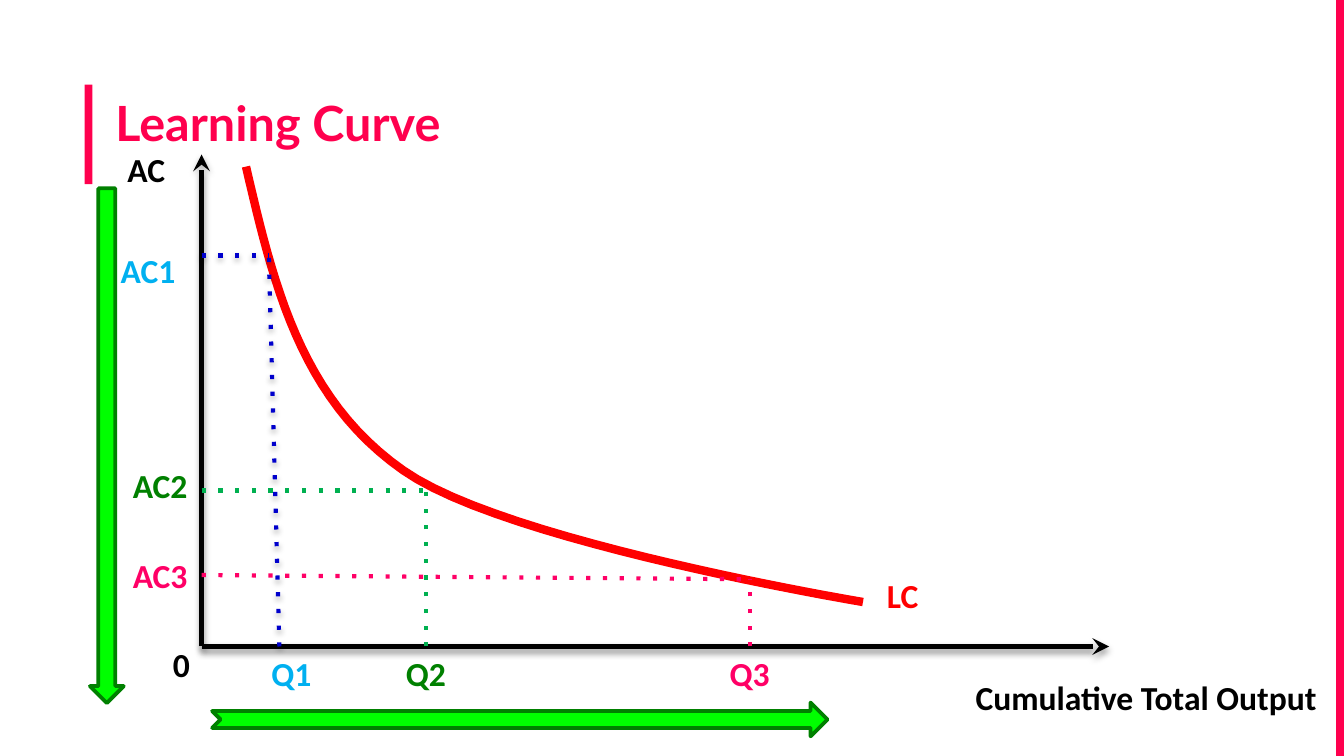
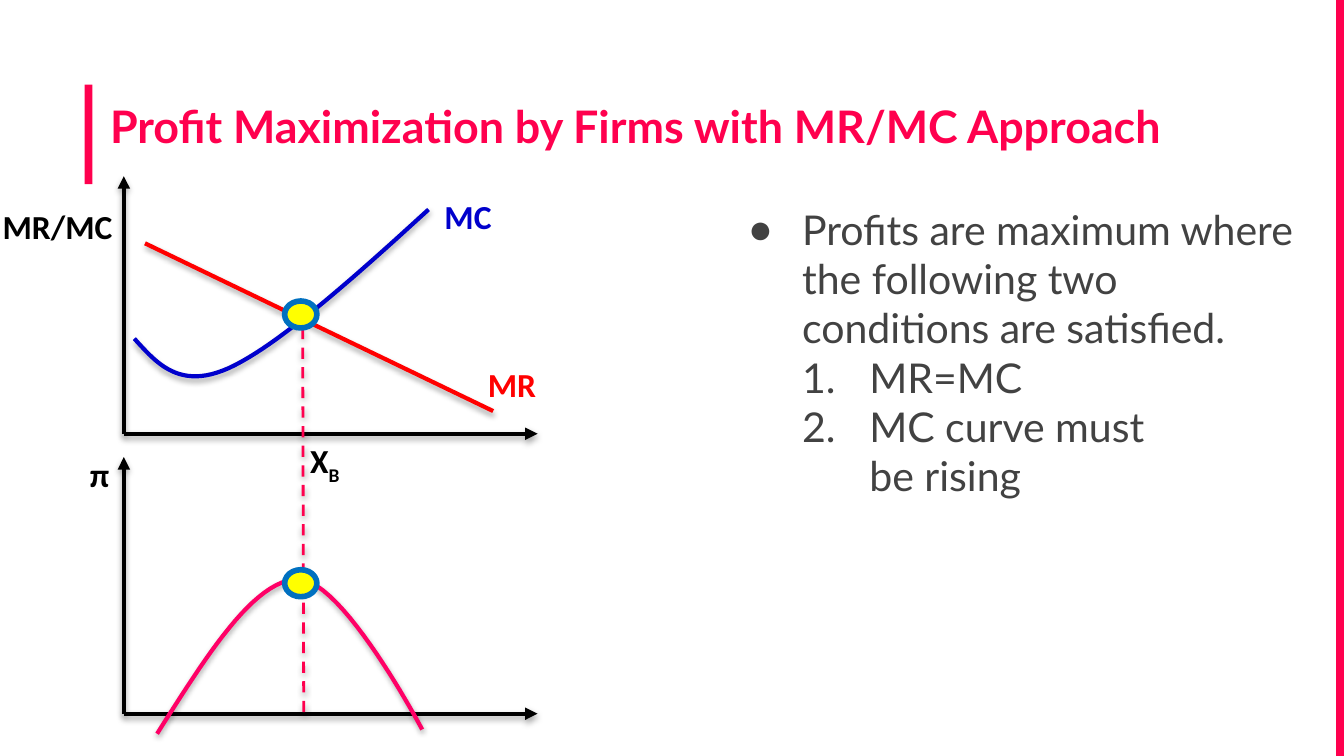
from lxml.etree import SubElement
from pptx import Presentation
from pptx.dml.color import RGBColor
from pptx.enum.shapes import MSO_CONNECTOR, MSO_SHAPE as Preset
from pptx.enum.text import MSO_ANCHOR as Anchor, MSO_AUTO_SIZE as AutoSize, PP_ALIGN as Align
from pptx.oxml.ns import qn
from pptx.util import Cm, Pt

BLACK = RGBColor(0x00, 0x00, 0x00)
CRIMSON = RGBColor(0xFF, 0x00, 0x4E)
PINK = RGBColor(0xFF, 0x00, 0x66)
RED = RGBColor(0xFF, 0x00, 0x00)
BLUE = RGBColor(0x00, 0x00, 0xCC)
SKY = RGBColor(0x00, 0xB0, 0xF0)
OCEAN = RGBColor(0x00, 0x70, 0xC0)
GREEN = RGBColor(0x00, 0x80, 0x00)
EMERALD = RGBColor(0x00, 0xB0, 0x50)
LIME = RGBColor(0x00, 0xFF, 0x00)
YELLOW = RGBColor(0xFF, 0xFF, 0x00)
GREY = RGBColor(0x42, 0x42, 0x42)

HEADING_FONT = "Lato"
LABEL_FONT = "Calibri"
CURVE_STEPS = 24


def draw_stroke(page, points, color, width, dash=None, arrow=None, shadow=True):
    """Join two points with a connector, or draw cubic Béziers through 3n + 1 control points."""
    if len(points) == 2:
        ends = [Cm(value) for point in points for value in point]
        stroke = page.shapes.add_connector(MSO_CONNECTOR.STRAIGHT, *ends)
    else:
        samples = []
        for first in range(0, len(points) - 1, 3):
            control = points[first:first + 4]
            for step in range(1, CURVE_STEPS + 1):
                t = step / CURVE_STEPS
                weights = ((1 - t) ** 3, 3 * t * (1 - t) ** 2, 3 * t ** 2 * (1 - t), t ** 3)
                samples.append([Cm(sum(w * point[axis] for w, point in zip(weights, control)))
                                for axis in (0, 1)])
        builder = page.shapes.build_freeform(Cm(points[0][0]), Cm(points[0][1]))
        builder.add_line_segments(samples, close=False)
        stroke = builder.convert_to_shape()
        stroke.fill.background()
    stroke.line.color.rgb = color
    stroke.line.width = Pt(width)

    properties = stroke.element.spPr
    line = properties.find(qn("a:ln"))
    if dash:
        SubElement(line, qn("a:prstDash"), val=dash)
    if arrow:
        SubElement(line, qn("a:tailEnd"), type=arrow)
    effects = SubElement(properties, qn("a:effectLst"))
    if shadow:
        outer = SubElement(effects, qn("a:outerShdw"), blurRad="40000", dist="23000",
                           dir="5400000", rotWithShape="0")
        shade = SubElement(outer, qn("a:srgbClr"), val="000000")
        SubElement(shade, qn("a:alpha"), val="35000")


def add_label(page, text, left, top, width, color):
    box = page.shapes.add_textbox(Cm(left), Cm(top), Cm(width), Cm(1.02))
    box.text_frame.word_wrap = False
    box.text_frame.auto_size = AutoSize.SHAPE_TO_FIT_TEXT
    para = box.text_frame.paragraphs[0]
    para.add_run().text = text
    para.font.name = LABEL_FONT
    para.font.size = Pt(18)
    para.font.bold = True
    para.font.color.rgb = color
    return box


deck = Presentation()
deck.slide_width = Cm(25.4)
deck.slide_height = Cm(14.29)
learning_page = deck.slides.add_slide(deck.slide_layouts[5])
profit_page = deck.slides.add_slide(deck.slide_layouts[1])

# Bands shared through the slide master
master_tree = deck.slide_master.shapes.element
for number, area in enumerate([(1.6, 1.6, 0.15, 1.88), (25.25, 0, 0.15, 14.29)]):
    band = learning_page.shapes.add_shape(Preset.RECTANGLE, *map(Cm, area))
    band.shadow.inherit = False
    band.fill.solid()
    band.fill.fore_color.rgb = CRIMSON
    band.line.fill.background()
    band.element.xpath(".//p:cNvPr")[0].set("id", str(20 + number))
    master_tree.insert(2 + number, band.element)

# Titles
for page, text, area, size, anchor, inset in [
    (learning_page, "Learning Curve", (1.93, 1.5, 23.06, 1.83), 26, Anchor.TOP, 0.25),
    (profit_page, "Profit Maximization by Firms with MR/MC Approach",
     (1.83, 1.17, 23.04, 2.39), 24, Anchor.MIDDLE, 0.13),
]:
    title = page.shapes.title
    title.left, title.top, title.width, title.height = map(Cm, area)
    frame = title.text_frame
    frame.text = text
    frame.auto_size = AutoSize.NONE
    frame.vertical_anchor = anchor
    frame.margin_left = frame.margin_right = Cm(0.25)
    frame.margin_top = frame.margin_bottom = Cm(inset)
    para = frame.paragraphs[0]
    para.alignment = Align.LEFT
    para.font.name = HEADING_FONT
    para.font.size = Pt(size)
    para.font.bold = True
    para.font.color.rgb = CRIMSON

# Learning curve: axes, curve, guides and labels
axis_x, axis_y = 3.81, 12.22
for tip in [(axis_x, 2.92), (20.96, axis_y)]:
    draw_stroke(learning_page, [(axis_x, axis_y), tip], BLACK, 3, arrow="stealth")
learning_curve = [(4.65, 3.15), (5.16, 5.33), (5.66, 7.52), (7.62, 8.89),
                  (9.55, 10.26), (16.31, 11.38), (16.31, 11.38)]
draw_stroke(learning_page, learning_curve, RED, 4.5, shadow=False)

for color, start_y, knee, foot_x, shadow in [
    (BLUE, 4.83, (5.08, 4.83), 5.28, True),
    (EMERALD, 9.27, (8.05, 9.27), 8.05, False),
    (PINK, 10.87, (14.17, 10.95), 14.17, False),
]:
    for start in [(axis_x, start_y), (foot_x, axis_y)]:
        draw_stroke(learning_page, [start, knee], color, 2.25, dash="dot", shadow=shadow)

for number, color, cost_left, cost_top, output_left in [
    (1, SKY, 2.03, 4.6, 4.88),
    (2, GREEN, 2.26, 8.66, 7.42),
    (3, PINK, 2.26, 10.36, 13.54),
]:
    add_label(learning_page, f"AC{number}", cost_left, cost_top, 1.55, color)
    add_label(learning_page, f"Q{number}", output_left, axis_y, 1.27, color)
add_label(learning_page, "LC", 16.51, 10.74, 1.12, RED)
add_label(learning_page, "AC", 2.16, 2.69, 1.55, BLACK)
add_label(learning_page, "0", 3.02, 12.04, 0.84, BLACK)
add_label(learning_page, "Cumulative Total Output", 18.19, 12.67, 7.01, BLACK)

# Profit maximization: two stacked graphs
left_x, right_x = 2.34, 10.16
for base_y, top_y in [(8.2, 3.33), (13.49, 8.64)]:
    for tip in [(left_x, top_y), (right_x, base_y)]:
        draw_stroke(profit_page, [(left_x, base_y), tip], BLACK, 2.25, arrow="triangle")
marginal_cost = [(2.54, 6.4), (2.97, 6.88), (3.4, 7.37), (4.32, 6.96),
                 (5.23, 6.55), (6.68, 5.26), (8.1, 3.96)]
profit_curve = [(2.97, 13.87), (3.89, 12.42), (4.8, 10.95), (5.64, 10.95),
                (6.48, 10.95), (7.98, 13.79), (7.98, 13.79)]
draw_stroke(profit_page, [(2.74, 4.6), (9.32, 7.77)], RED, 2.25)
draw_stroke(profit_page, marginal_cost, BLUE, 2.25)
draw_stroke(profit_page, [(5.74, 13.46), (5.72, 6.1)], CRIMSON, 1.5, dash="dash")
draw_stroke(profit_page, profit_curve, PINK, 2.25)

add_label(profit_page, "MR", 8.97, 6.76, 1.42, RED)
add_label(profit_page, "MC", 8.15, 3.58, 1.4, BLUE)
add_label(profit_page, "π", 1.45, 8.46, 0.89, BLACK)
add_label(profit_page, "MR/MC", -0.2, 3.76, 2.62, BLACK)
best_output = add_label(profit_page, "X", 5.61, 8.2, 1.12, BLACK)
best_output.text_frame.paragraphs[0].add_run().text = "B"
best_output.element.xpath(".//a:r")[-1].get_or_add_rPr().set("baseline", "-25000")

# Direction arrows and optimum markers
for page, preset, area, fill, outline, width in [
    (learning_page, Preset.NOTCHED_RIGHT_ARROW, (4.01, 13.28, 11.63, 0.64), LIME, GREEN, 2),
    (learning_page, Preset.DOWN_ARROW, (1.7, 3.56, 0.64, 9.73), LIME, GREEN, 2),
    (profit_page, Preset.OVAL, (5.38, 5.69, 0.61, 0.51), YELLOW, OCEAN, 3),
    (profit_page, Preset.OVAL, (5.38, 10.77, 0.61, 0.51), YELLOW, OCEAN, 3),
]:
    marker = page.shapes.add_shape(preset, *map(Cm, area))
    marker.shadow.inherit = False
    marker.fill.solid()
    marker.fill.fore_color.rgb = fill
    marker.line.color.rgb = outline
    marker.line.width = Pt(width)

# Conditions for maximum profit
body = profit_page.placeholders[1]
body.left, body.top, body.width, body.height = map(Cm, (13.64, 3.61, 11.4, 10.19))
frame = body.text_frame
frame.auto_size = AutoSize.NONE
frame.margin_left = frame.margin_right = frame.margin_top = frame.margin_bottom = Cm(0.25)
conditions = [
    ("Profits are maximum where the following two conditions are satisfied.", 1.27, -1.02, "●"),
    ("\t1.\tMR=MC", 0, 0, None),
    ("\t2.\tMC curve must", 0, 0, None),
    ("be rising", 1.27, 1.27, None),
]
frame.text = "\n".join(text for text, *_ in conditions)
for para, element, (_, margin, indent, bullet) in zip(
        frame.paragraphs, body.element.xpath(".//a:p"), conditions):
    properties = element.get_or_add_pPr()
    properties.set("marL", str(Cm(margin)))
    properties.set("indent", str(Cm(indent)))
    if bullet:
        bullet_color = SubElement(properties, qn("a:buClr"))
        SubElement(bullet_color, qn("a:srgbClr"), val=str(GREY))
        SubElement(properties, qn("a:buChar"), char=bullet)
    else:
        SubElement(properties, qn("a:buNone"))
    para.space_before = Pt(0)
    para.font.name = HEADING_FONT
    para.font.size = Pt(22)
    para.font.color.rgb = GREY

deck.save("out.pptx")
